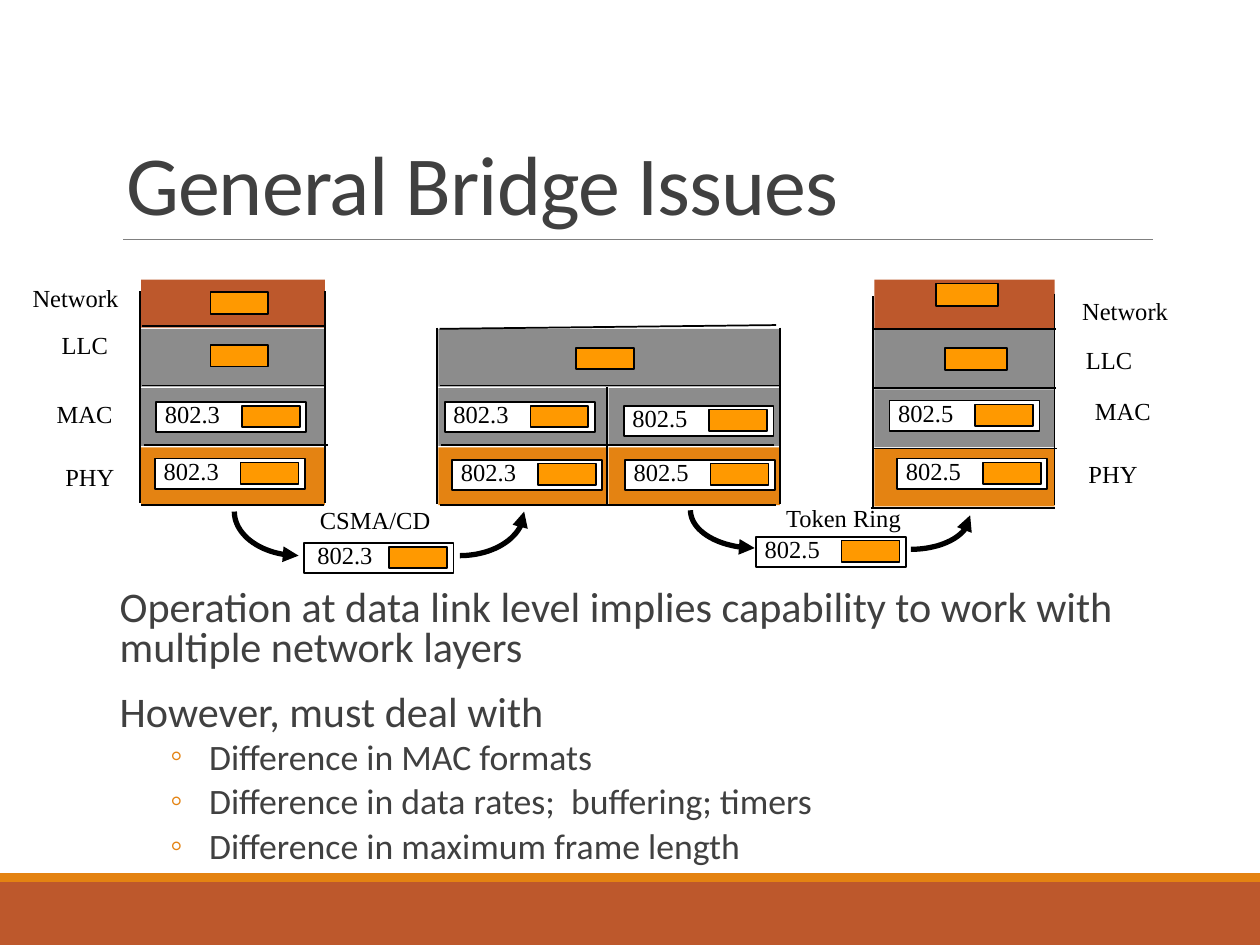
from dataclasses import dataclass
from math import cos, pi, sin

from lxml.etree import SubElement
from pptx import Presentation
from pptx.dml.color import RGBColor as Color
from pptx.enum.shapes import MSO_CONNECTOR as Connector, MSO_SHAPE as Shape
from pptx.enum.text import MSO_ANCHOR as Anchor, MSO_AUTO_SIZE as AutoSize, PP_ALIGN as Align
from pptx.oxml.ns import qn
from pptx.util import Inches, Pt


@dataclass(frozen=True)
class Theme:
    text: str = "404040"
    ink: str = "000000"
    paper: str = "FFFFFF"
    rule: str = "808080"
    rust: str = "BD582C"
    orange: str = "E48312"
    gray: str = "8C8C8C"
    payload: str = "FF9900"
    main_font: str = "Calibri"
    label_font: str = "Times New Roman"
    title_size: float = 48
    body_size: float = 24.1
    sub_size: float = 20.4
    label_size: float = 14


class Deck:
    def __init__(self, presentation, theme):
        self.theme = theme
        self.slide = presentation.slides.add_slide(presentation.slide_layouts[1])
        self.shapes = self.slide.shapes

    def set_font(self, paragraph, name, size, color):
        paragraph.font.name = name
        paragraph.font.size = Pt(size)
        paragraph.font.color.rgb = Color.from_string(color)

    def place(self, shape, left, top, width, height):
        shape.left, shape.top = Inches(left), Inches(top)
        shape.width, shape.height = Inches(width), Inches(height)

    def title(self, text, *area):
        shape = self.shapes.title
        self.place(shape, *area)
        frame = shape.text_frame
        frame.text = text
        frame.auto_size = AutoSize.NONE
        frame.vertical_anchor = Anchor.BOTTOM
        paragraph = frame.paragraphs[0]
        paragraph.alignment = Align.LEFT
        paragraph.line_spacing = 0.85
        self.set_font(paragraph, self.theme.main_font, self.theme.title_size, self.theme.text)
        paragraph._p.pPr.find(qn("a:defRPr")).set("spc", "-50")

    def body(self, items, *area):
        """Fill the body placeholder from (level, text) pairs."""
        shape = self.slide.placeholders[1]
        self.place(shape, *area)
        frame = shape.text_frame
        frame.auto_size = AutoSize.NONE
        levels = [(0.1, 0.1, " ", 12, 2, self.theme.body_size),
                  (0.81, 0.31, "◦", 2, 4, self.theme.sub_size)]
        for index, (level, text) in enumerate(items):
            margin, hanging, bullet, before, after, size = levels[level]
            paragraph = frame.add_paragraph() if index else frame.paragraphs[0]
            paragraph.text = text
            paragraph.level = level
            paragraph.line_spacing = 0.8
            paragraph.space_before = Pt(before if index else 0)
            paragraph.space_after = Pt(after)
            properties = paragraph._p.get_or_add_pPr()
            properties.set("marL", str(Inches(margin)))
            properties.set("indent", str(-Inches(hanging)))
            bullet_color = SubElement(properties, qn("a:buClr"))
            SubElement(bullet_color, qn("a:srgbClr")).set("val", self.theme.orange)
            SubElement(properties, qn("a:buChar")).set("char", bullet)
            self.set_font(paragraph, self.theme.main_font, size, self.theme.text)

    def box(self, left, top, width, height, fill, outlined=False):
        shape = self.shapes.add_shape(
            Shape.RECTANGLE, Inches(left), Inches(top), Inches(width), Inches(height))
        shape.shadow.inherit = False
        shape.fill.solid()
        shape.fill.fore_color.rgb = Color.from_string(fill)
        if outlined:
            shape.line.color.rgb = Color.from_string(self.theme.ink)
            shape.line.width = Pt(1)
        else:
            shape.line.fill.background()

    def line(self, x1, y1, x2, y2, color=None, width=1):
        connector = self.shapes.add_connector(
            Connector.STRAIGHT, Inches(x1), Inches(y1), Inches(x2), Inches(y2))
        connector.line.color.rgb = Color.from_string(color or self.theme.ink)
        connector.line.width = Pt(width)
        SubElement(connector._element.spPr, qn("a:effectLst"))

    def label(self, text, left, top, width):
        shape = self.shapes.add_textbox(
            Inches(left), Inches(top), Inches(width), Inches(0.37))
        frame = shape.text_frame
        frame.word_wrap = False
        frame.auto_size = AutoSize.SHAPE_TO_FIT_TEXT
        frame.text = text
        self.set_font(frame.paragraphs[0], self.theme.label_font,
                      self.theme.label_size, self.theme.ink)

    def payload(self, left, top, width=0.46, height=0.17):
        self.box(left, top, width, height, self.theme.payload, outlined=True)

    def frame(self, protocol, left, top, label_shift=-0.03):
        """Draw a MAC frame: protocol header with the payload inside."""
        self.box(left, top, 1.19, 0.24, self.theme.paper, outlined=True)
        self.payload(left + 0.68, top + 0.03)
        self.label(protocol, left + label_shift, top - 0.07, 0.68)

    def stack(self, left, top, width, fills):
        """Draw equal protocol layers downwards from top."""
        for row, fill in enumerate(fills):
            self.box(left, top + 0.47 * row, width, 0.46, fill)

    def curved_arrow(self, center_x, center_y, radius_x, radius_y, tip_angle):
        """Draw a quarter ellipse clockwise from its arrow tip."""
        steps = 24
        angles = [tip_angle + pi / 2 * step / steps for step in range(steps + 1)]
        points = [(Inches(center_x + radius_x * cos(angle)),
                   Inches(center_y + radius_y * sin(angle))) for angle in angles]
        builder = self.shapes.build_freeform(*points[0])
        builder.add_line_segments(points[1:], close=False)
        shape = builder.convert_to_shape()
        shape.shadow.inherit = False
        shape.fill.background()
        shape.line.color.rgb = Color.from_string(self.theme.ink)
        shape.line.width = Pt(3)
        outline = shape._element.spPr.find(qn("a:ln"))
        SubElement(outline, qn("a:headEnd")).set("type", "triangle")


def main():
    presentation = Presentation()
    presentation.slide_width, presentation.slide_height = Inches(10), Inches(7.5)
    theme = Theme()
    deck = Deck(presentation, theme)

    deck.box(0, 7, 10, 0.5, theme.rust)
    deck.box(0, 6.93, 10, 0.07, theme.orange)
    deck.line(0.98, 1.9, 9.15, 1.9, theme.rule, 0.5)
    deck.title("General Bridge Issues", 0.9, 0.31, 8.25, 1.59)
    deck.body([
        (0, "Operation at data link level implies capability to work with multiple network layers"),
        (0, "However, must deal with"),
        (1, "Difference in MAC formats"),
        (1, "Difference in data rates;  buffering; timers"),
        (1, "Difference in maximum frame length"),
    ], 0.75, 4.63, 8.49, 2.31)

    layers = [theme.gray, theme.gray, theme.orange]
    deck.box(4.8, 2.61, 1.39, 0.46, theme.gray)
    deck.stack(4.83, 3.08, 1.36, layers[1:])
    for left, top, width in [(1.12, 2.61, 1.46), (3.48, 2.61, 1.33), (6.94, 2.62, 1.43)]:
        deck.stack(left, top, width, layers)
    deck.box(1.12, 2.22, 1.46, 0.38, theme.rust)
    deck.box(6.94, 2.22, 1.43, 0.39, theme.rust)

    for x, top, bottom in [(1.11, 2.31, 3.99), (2.58, 2.31, 3.99), (3.47, 2.6, 4),
                           (4.82, 3.07, 4.01), (6.19, 2.6, 4), (6.93, 2.35, 4.03),
                           (8.37, 2.33, 4.01)]:
        deck.line(x, top, x, bottom)
    for left, right, y in [(1.13, 2.59, 2.59), (1.13, 2.59, 3.06), (1.14, 2.6, 3.53),
                           (1.12, 2.57, 4.01), (3.49, 6.18, 3.06), (3.5, 6.14, 3.53),
                           (3.49, 6.16, 4.01), (6.92, 8.38, 2.61), (6.92, 8.38, 3.08),
                           (6.93, 8.39, 3.56), (6.91, 8.37, 4.03)]:
        deck.line(left, y, right, y)
    deck.line(3.49, 2.61, 6.16, 2.58)

    for text, width, left_spot, right_spot in [
            ("Network", 0.92, (0.16, 2.2), (8.49, 2.3)),
            ("LLC", 0.61, (0.39, 2.57), (8.52, 2.69)),
            ("MAC", 0.68, (0.35, 3.12), (8.59, 3.09)),
            ("PHY", 0.63, (0.42, 3.62), (8.54, 3.59))]:
        deck.label(text, *left_spot, width)
        deck.label(text, *right_spot, width)

    for spot in [(1.67, 2.32), (1.67, 2.74), (4.57, 2.76)]:
        deck.payload(*spot)
    for spot in [(7.43, 2.25), (7.5, 2.76)]:
        deck.payload(*spot, 0.49, 0.18)
    for spot in [(1.24, 3.19), (1.23, 3.64), (3.53, 3.19), (3.59, 3.65)]:
        deck.frame("802.3", *spot)
    deck.frame("802.3", 2.41, 4.31, label_shift=0.01)
    for spot in [(4.95, 3.22), (4.96, 3.65), (6, 4.26), (7.06, 3.18), (7.12, 3.64)]:
        deck.frame("802.5", *spot)

    deck.curved_arrow(2.37, 4.06, 0.51, 0.35, pi / 2)
    deck.curved_arrow(3.65, 4.06, 0.51, 0.35, 0)
    deck.curved_arrow(5.99, 4.05, 0.51, 0.3, pi / 2)
    deck.curved_arrow(7.23, 4.09, 0.47, 0.27, 0)
    deck.label("CSMA/CD", 2.44, 3.96, 1.12)
    deck.label("Token Ring", 6.14, 3.94, 1.16)

    presentation.save("out.pptx")


if __name__ == "__main__":
    main()
